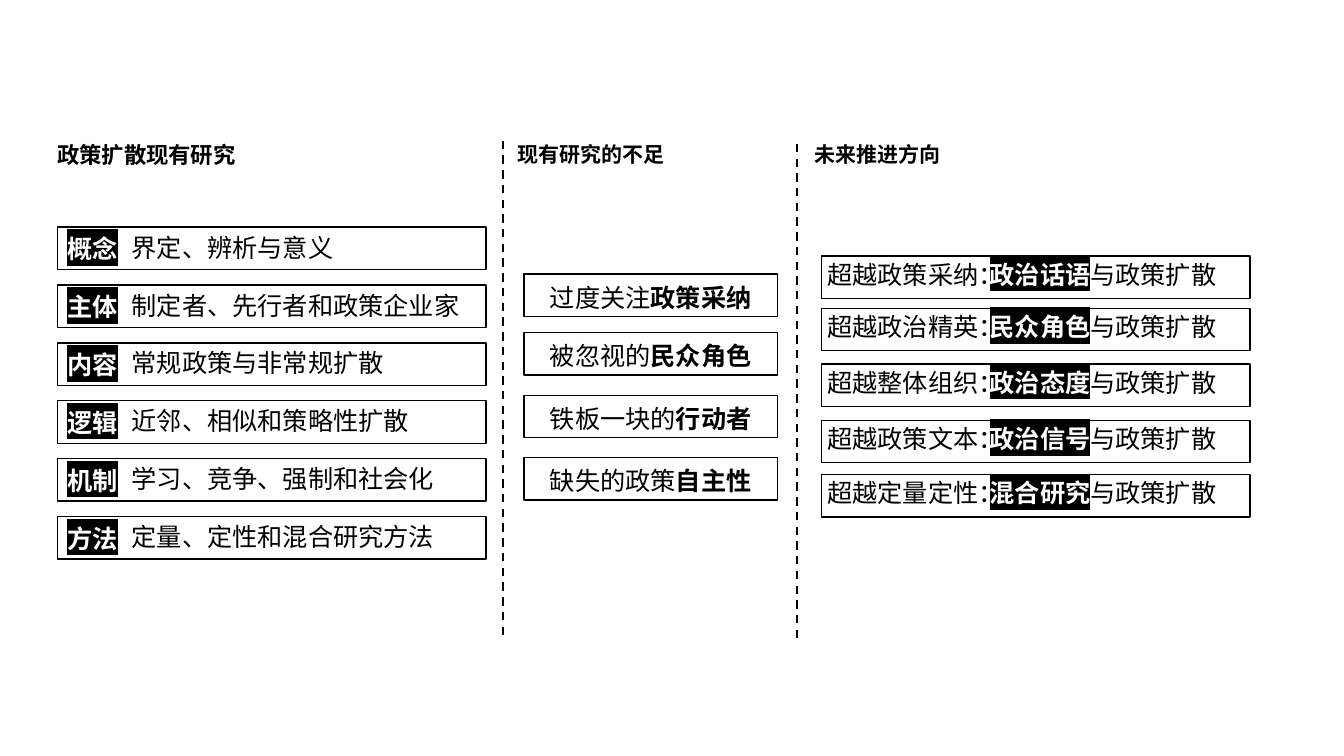
from lxml.etree import SubElement
from pptx import Presentation
from pptx.dml.color import RGBColor
from pptx.enum.dml import MSO_LINE
from pptx.enum.shapes import MSO_CONNECTOR, MSO_SHAPE
from pptx.enum.text import MSO_AUTO_SIZE, PP_ALIGN
from pptx.oxml import parse_xml
from pptx.oxml.ns import nsdecls, qn
from pptx.util import Cm, Pt

COLORS = {"ink": "000000", "paper": "FFFFFF"}
BODY_FONT = "Noto Sans CJK SC"
HEADING_FONT = "Roboto"

EXISTING_STUDIES = [
    ("概念", "界定、辨析与意义"),
    ("主体", "制定者、先行者和政策企业家"),
    ("内容", "常规政策与非常规扩散"),
    ("逻辑", "近邻、相似和策略性扩散"),
    ("机制", "学习、竞争、强制和社会化"),
    ("方法", "定量、定性和混合研究方法"),
]
SHORTCOMINGS = [
    (6.91, "过度关注", "政策采纳"),
    (8.38, "被忽视的", "民众角色"),
    (9.96, "铁板一块的", "行动者"),
    (11.53, "缺失的政策", "自主性"),
]
DIRECTIONS = [
    (6.45, "超越政策采纳：", "政治话语", HEADING_FONT),
    (7.77, "超越政治精英：", "民众角色", BODY_FONT),
    (9.17, "超越整体组织：", "政治态度", HEADING_FONT),
    (10.59, "超越政策文本：", "政治信号", HEADING_FONT),
    (11.96, "超越定量定性：", "混合研究", HEADING_FONT),
]


def add_run(paragraph, text, size=18, font=BODY_FONT, color="ink", bold=False, highlight=None):
    run = paragraph.add_run()
    run.text = text
    run.font.size = Pt(size)
    run.font.bold = bold
    run.font.name = font
    run.font.color.rgb = RGBColor.from_string(COLORS[color])
    properties = run.font._element
    east_asian = parse_xml(f'<a:ea {nsdecls("a")} typeface="{BODY_FONT}"/>')
    properties.find(qn("a:latin")).addnext(east_asian)
    if highlight:
        marker = parse_xml(
            f'<a:highlight {nsdecls("a")}><a:srgbClr val="{COLORS[highlight]}"/></a:highlight>'
        )
        properties.find(qn("a:solidFill")).addnext(marker)


class Board:
    """Draws on one slide in black and white; all lengths are in centimetres."""

    def __init__(self, slide):
        self.shapes = slide.shapes
        self.ink = RGBColor.from_string(COLORS["ink"])

    def frame(self, left, top, width, height=1.07):
        frame = self.shapes.add_shape(
            MSO_SHAPE.RECTANGLE, Cm(left), Cm(top), Cm(width), Cm(height)
        )
        frame.shadow.inherit = False
        frame.fill.background()
        frame.line.color.rgb = self.ink
        frame.line.width = Pt(1)

    def text(self, left, top, width, *runs, height=1.02, align=PP_ALIGN.LEFT, wrap=True):
        """Each run is a pair of its text and a dict of format arguments."""
        box = self.shapes.add_textbox(Cm(left), Cm(top), Cm(width), Cm(height))
        box.text_frame.word_wrap = wrap
        box.text_frame.auto_size = MSO_AUTO_SIZE.SHAPE_TO_FIT_TEXT
        paragraph = box.text_frame.paragraphs[0]
        paragraph.alignment = align
        for words, style in runs:
            add_run(paragraph, words, **style)

    def heading(self, left, width, words, size=15, align=PP_ALIGN.CENTER):
        style = {"size": size, "font": HEADING_FONT, "bold": True}
        self.text(left, 3.43, width, (words, style), height=0.9, align=align)

    def divider(self, x, top, bottom):
        divider = self.shapes.add_connector(
            MSO_CONNECTOR.STRAIGHT, Cm(x), Cm(bottom), Cm(x), Cm(top)
        )
        divider.line.color.rgb = self.ink
        divider.line.width = Pt(1.5)
        divider.line.dash_style = MSO_LINE.DASH
        SubElement(divider._element.spPr, qn("a:effectLst"))


def main():
    presentation = Presentation()
    presentation.slide_width = Cm(33.87)
    presentation.slide_height = Cm(19.05)
    board = Board(presentation.slides.add_slide(presentation.slide_layouts[6]))
    inverse = {"color": "paper", "bold": True, "highlight": "ink"}

    board.divider(12.67, 3.53, 16)
    board.divider(20.09, 3.61, 16.08)
    board.heading(1.19, 5.44, "政策扩散现有研究", size=16, align=PP_ALIGN.LEFT)
    board.heading(12.17, 5.44, "现有研究的不足")
    board.heading(20, 4.22, "未来推进方向")

    for row, (aspect, findings) in enumerate(EXISTING_STUDIES):
        top = 5.72 + 1.46 * row
        board.frame(1.45, top, 10.8)
        board.text(1.45, top + 0.03, 1.8, (aspect, inverse), wrap=False)
        board.text(3.07, top, 8.94, (findings, {}))

    for top, opening, gap in SHORTCOMINGS:
        board.frame(13.21, top, 6.38)
        board.text(13.21, top + 0.08, 6.38, (opening, {}), (gap, {"bold": True}),
                   align=PP_ALIGN.CENTER)

    for top, beyond, topic, font in DIRECTIONS:
        board.frame(20.7, top, 10.8)
        board.text(20.6, top - 0.05, 5, (beyond, {"font": font}), wrap=False)
        board.text(24.69, top - 0.05, 6.4, (topic, inverse), ("与政策扩散", {}))

    presentation.save("out.pptx")


if __name__ == "__main__":
    main()
